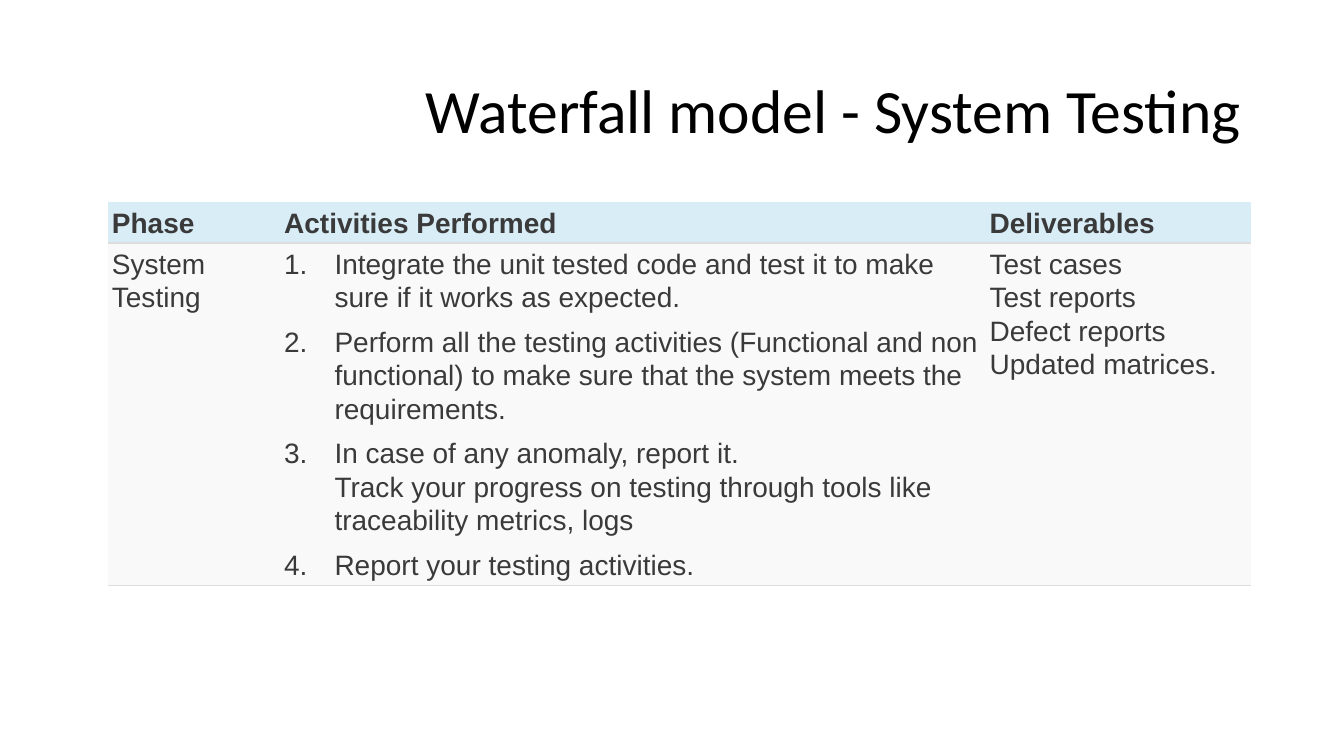
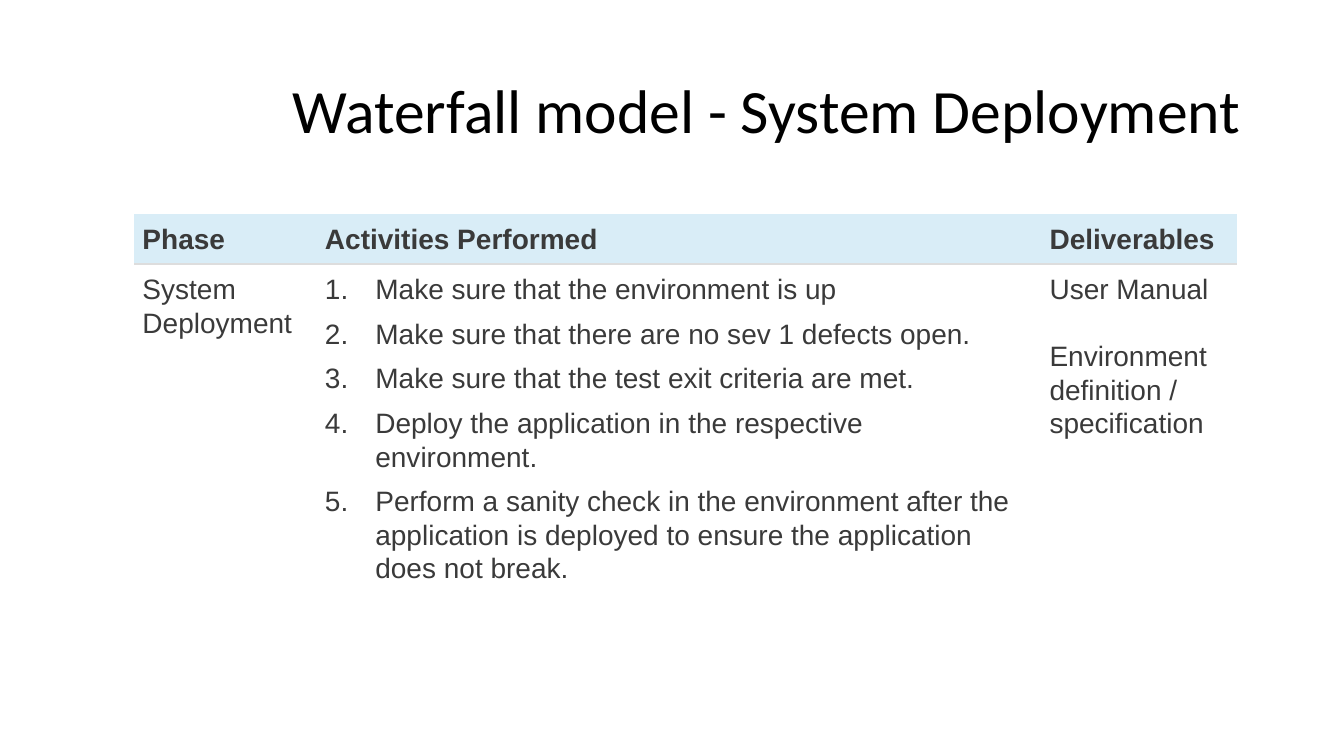
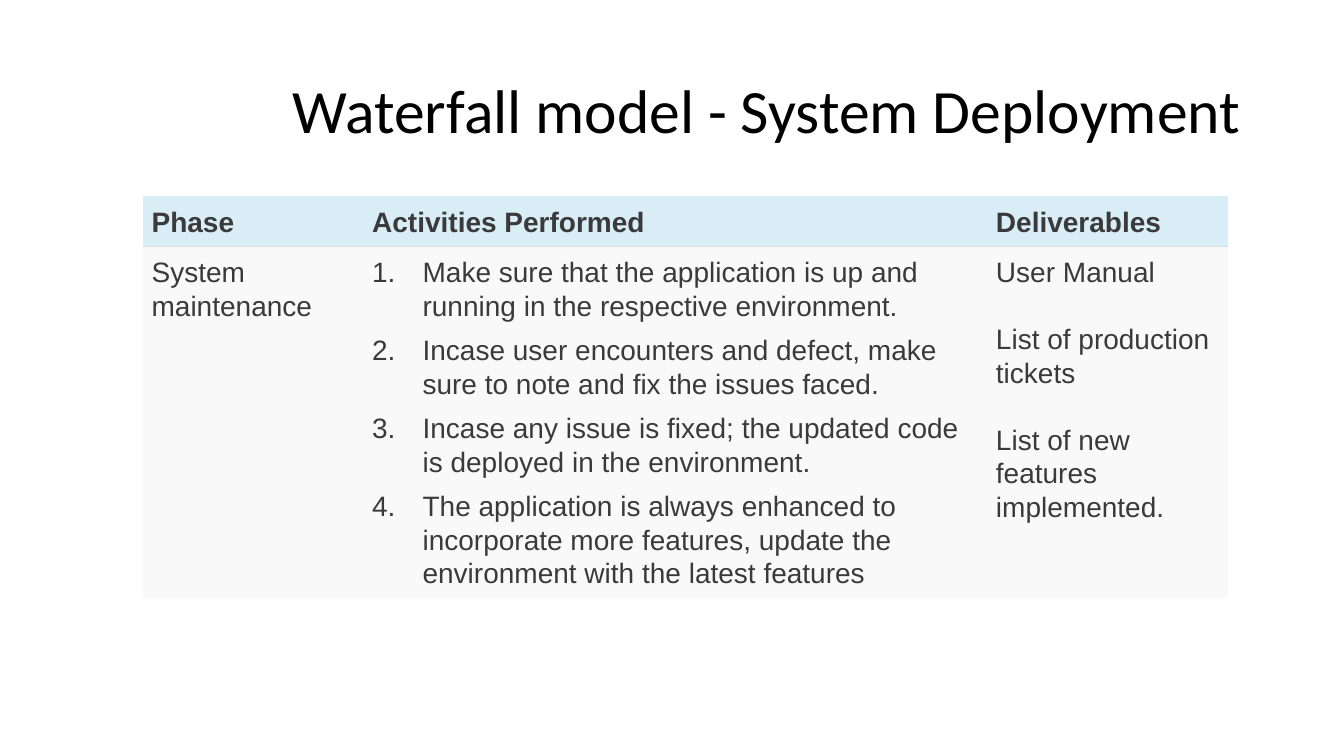
import pptx
import pptx.dml.color
import pptx.enum.text
import pptx.oxml
import pptx.oxml.ns
import pptx.util
from dataclasses import dataclass

Cm, Pt = pptx.util.Cm, pptx.util.Pt
Anchor = pptx.enum.text.MSO_ANCHOR
Align = pptx.enum.text.PP_ALIGN


@dataclass(frozen=True)
class Theme:
    title_color: str = "000000"
    text_color: str = "3A3A3A"
    header_fill: str = "D9EDF7"
    shaded_fill: str = "F9F9F9"
    plain_fill: str = "FFFFFF"
    rule_color: str = "DDDDDD"
    title_font: str = "Calibri"
    table_font: str = "Arial"
    title_size: int = 44
    table_size: int = 20
    space_after: int = 8
    blank_line: int = 24


THEME = Theme()
HEADINGS = ("Phase", "Activities Performed", "Deliverables")

# Lengths are in centimetres; deliverable_gap is in points.
PHASES = [
    {
        "title": "Waterfall model - System Testing",
        "phase": "System Testing",
        "activities": [
            "Integrate the unit tested code and test it to make sure if it works as expected.",
            "Perform all the testing activities (Functional and non functional) "
            "to make sure that the system meets the requirements.",
            "In case of any anomaly, report it.\n"
            "Track your progress on testing through tools like traceability metrics, logs",
            "Report your testing activities.",
        ],
        "deliverables": ["Test cases", "Test reports", "Defect reports", "Updated matrices."],
        "deliverable_gap": 0,
        "origin": (2.72, 5.08),
        "columns": (4.34, 17.78, 6.68),
        "rows": (1.03, 8.6),
        "inset": 0.1,
        "body_fill": THEME.shaded_fill,
        "bottom_rule": True,
    },
    {
        "title": "Waterfall model - System Deployment",
        "phase": "System Deployment",
        "activities": [
            "Make sure that the environment is up",
            "Make sure that there are no sev 1 defects open.",
            "Make sure that the test exit criteria are met.",
            "Deploy the application in the respective environment.",
            "Perform a sanity check in the environment after the application "
            "is deployed to ensure the application does not break.",
        ],
        "deliverables": ["User Manual", "Environment definition / specification"],
        "deliverable_gap": THEME.blank_line,
        "origin": (3.38, 5.38),
        "columns": (4.6, 18.26, 4.93),
        "rows": (1.27, 8.25),
        "inset": 0.21,
        "body_fill": THEME.plain_fill,
        "bottom_rule": False,
    },
    {
        "title": "Waterfall model - System Deployment",
        "phase": "System maintenance",
        "activities": [
            "Make sure that the application is up and running in the respective environment.",
            "Incase user encounters and defect, make sure to note and fix the issues faced.",
            "Incase any issue is fixed; the updated code is deployed in the environment.",
            "The application is always enhanced to incorporate more features, "
            "update the environment with the latest features",
        ],
        "deliverables": [
            "User Manual",
            "List of production tickets",
            "List of new features implemented.",
        ],
        "deliverable_gap": THEME.blank_line,
        "origin": (3.61, 4.95),
        "columns": (5.56, 15.72, 6.05),
        "rows": (1.27, 8.84),
        "inset": 0.21,
        "body_fill": THEME.shaded_fill,
        "bottom_rule": False,
    },
]


def apply(target, **values):
    for name, value in values.items():
        setattr(target, name, value)


def rgb(color):
    return pptx.dml.color.RGBColor.from_string(color)


def style_runs(paragraph, font, size, color, bold=False):
    for run in paragraph.runs:
        apply(run.font, name=font, size=Pt(size), bold=bold)
        run.font.color.rgb = rgb(color)


def number_paragraph(paragraph):
    properties = paragraph._p.get_or_add_pPr()
    properties.set("marL", str(Cm(1.27)))
    properties.set("indent", str(-Cm(1.27)))
    properties.append(pptx.oxml.parse_xml(
        f'<a:buFont {pptx.oxml.ns.nsdecls("a")} typeface="+mj-lt"/>'))
    properties.append(pptx.oxml.parse_xml(
        f'<a:buAutoNum {pptx.oxml.ns.nsdecls("a")} type="arabicPeriod"/>'))


def set_borders(cell, ruled_sides):
    """Rule the named sides (L, R, T, B) and clear the others."""
    properties = cell._tc.get_or_add_tcPr()
    for position, side in enumerate("LRTB"):
        paint = "<a:noFill/>"
        if side in ruled_sides:
            paint = f'<a:solidFill><a:srgbClr val="{THEME.rule_color}"/></a:solidFill>'
        properties.insert(position, pptx.oxml.parse_xml(
            f'<a:ln{side} {pptx.oxml.ns.nsdecls("a")} w="{Pt(1)}">{paint}</a:ln{side}>'))


def fill_cell(cell, lines, fill, inset, ruled_sides, gap=THEME.space_after,
              header=False, numbered=False):
    margins = ("margin_left", "margin_top", "margin_right", "margin_bottom")
    apply(cell, **dict.fromkeys(margins, Cm(inset)),
          vertical_anchor=Anchor.MIDDLE if header else Anchor.TOP)
    cell.fill.solid()
    cell.fill.fore_color.rgb = rgb(fill)
    set_borders(cell, ruled_sides)
    frame = cell.text_frame
    for index, line in enumerate(lines):
        paragraph = frame.add_paragraph() if index else frame.paragraphs[0]
        last = index == len(lines) - 1
        apply(paragraph, text=line, line_spacing=1.07,
              space_after=Pt(THEME.space_after if last else gap))
        style_runs(paragraph, THEME.table_font, THEME.table_size, THEME.text_color, header)
        if numbered:
            number_paragraph(paragraph)


def add_title(slide, text):
    title = slide.shapes.title
    apply(title, left=Cm(2.33), top=Cm(1.01), width=Cm(29.21), height=Cm(3.68))
    apply(title.text_frame, text=text, vertical_anchor=Anchor.MIDDLE, word_wrap=True,
          auto_size=pptx.enum.text.MSO_AUTO_SIZE.NONE)
    paragraph = title.text_frame.paragraphs[0]
    apply(paragraph, alignment=Align.RIGHT, line_spacing=0.9)
    style_runs(paragraph, THEME.title_font, THEME.title_size, THEME.title_color)


def add_phase_table(slide, phase):
    left, top = phase["origin"]
    columns, rows = phase["columns"], phase["rows"]
    table = slide.shapes.add_table(len(rows), len(columns), Cm(left), Cm(top),
                                   Cm(sum(columns)), Cm(sum(rows))).table
    apply(table, first_row=False, horz_banding=False)
    for column, width in zip(table.columns, columns):
        column.width = Cm(width)
    for row, height in zip(table.rows, rows):
        row.height = Cm(height)

    inset = phase["inset"]
    for column, heading in enumerate(HEADINGS):
        fill_cell(table.cell(0, column), [heading], THEME.header_fill, inset, "B", header=True)

    body = [
        {"lines": [phase["phase"]]},
        {"lines": phase["activities"], "numbered": True},
        {"lines": phase["deliverables"], "gap": phase["deliverable_gap"]},
    ]
    ruled_sides = "TB" if phase["bottom_rule"] else "T"
    for column, content in enumerate(body):
        fill_cell(table.cell(1, column), fill=phase["body_fill"], inset=inset,
                  ruled_sides=ruled_sides, **content)


def main():
    presentation = pptx.Presentation()
    apply(presentation, slide_width=Cm(33.87), slide_height=Cm(19.05))
    title_only = presentation.slide_layouts.get_by_name("Title Only")
    for phase in PHASES:
        slide = presentation.slides.add_slide(title_only)
        add_title(slide, phase["title"])
        add_phase_table(slide, phase)
    presentation.save("out.pptx")


if __name__ == "__main__":
    main()
